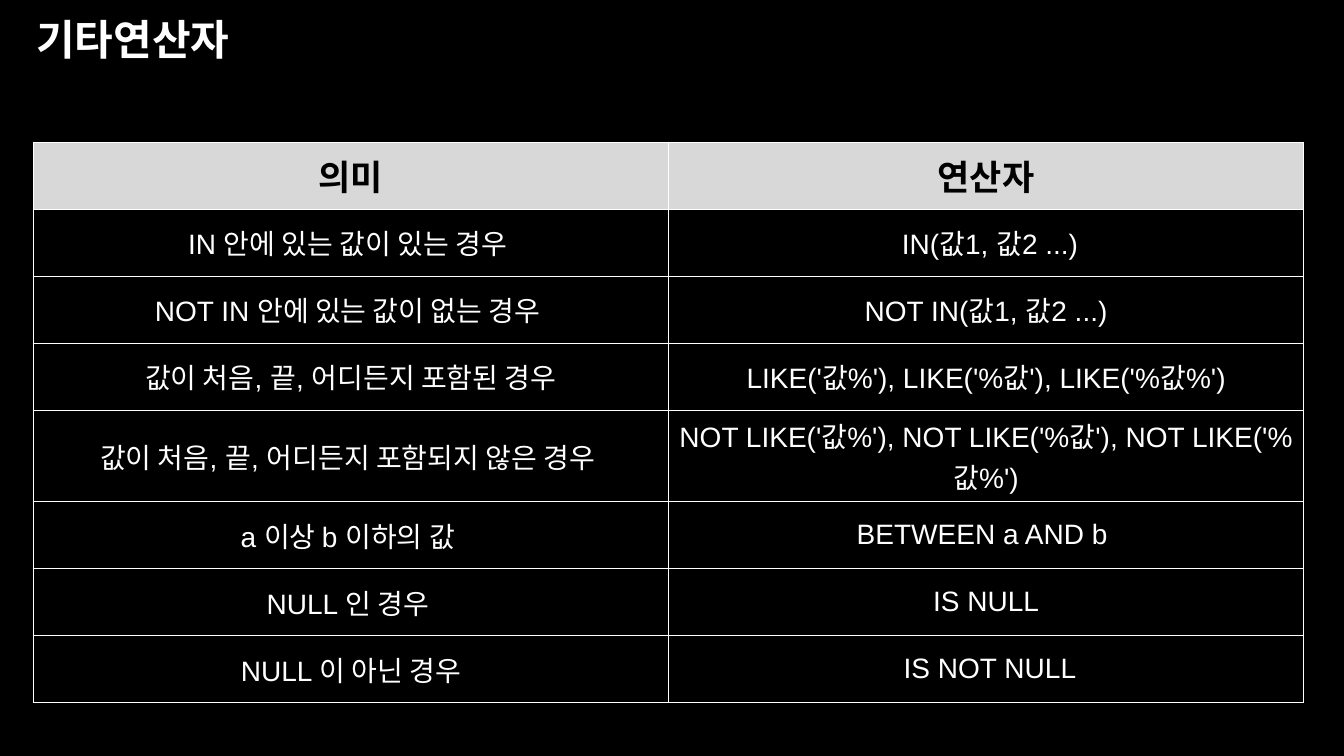
from dataclasses import dataclass

from lxml.etree import SubElement
from pptx import Presentation
from pptx.dml.color import RGBColor
from pptx.enum.text import MSO_ANCHOR, PP_ALIGN
from pptx.oxml.ns import qn
from pptx.slide import Slide
from pptx.table import _Cell as Cell
from pptx.text.text import TextFrame
from pptx.util import Inches, Pt

BLACK = RGBColor(0x00, 0x00, 0x00)
WHITE = RGBColor(0xFF, 0xFF, 0xFF)
LIGHT_GRAY = RGBColor(0xD8, 0xD8, 0xD8)

TITLE_ONLY = 5
COLUMN_WIDTH = Inches(6.3)
ROW_HEIGHT = Inches(0.665)


@dataclass(frozen=True)
class TextStyle:
    size: int
    font: str
    color: RGBColor
    bold: bool
    alignment: PP_ALIGN


@dataclass(frozen=True)
class OperatorRow:
    meaning: str
    operator: str


TITLE_STYLE = TextStyle(30, "Karla", WHITE, True, PP_ALIGN.LEFT)
HEADER_STYLE = TextStyle(25, "Arial", BLACK, True, PP_ALIGN.CENTER)
BODY_STYLE = TextStyle(20, "Arial", WHITE, False, PP_ALIGN.CENTER)

ROWS = [
    OperatorRow("의미", "연산자"),
    OperatorRow("IN 안에 있는 값이 있는 경우 ", " IN(값1, 값2 ...)"),
    OperatorRow("NOT IN 안에 있는 값이 없는 경우 ", "NOT IN(값1, 값2 ...)"),
    OperatorRow("값이 처음, 끝, 어디든지 포함된 경우",
                "LIKE('값%'), LIKE('%값'), LIKE('%값%')"),
    OperatorRow("값이 처음, 끝, 어디든지 포함되지 않은 경우 ",
                "NOT LIKE('값%'), NOT LIKE('%값'), NOT LIKE('%값%')"),
    OperatorRow("a 이상 b 이하의 값 ", "BETWEEN a AND b "),
    OperatorRow("NULL 인 경우 ", "IS NULL"),
    OperatorRow("NULL 이 아닌 경우", " IS NOT NULL"),
]


def write_text(text_frame: TextFrame, text: str, style: TextStyle) -> None:
    text_frame.text = text
    paragraph = text_frame.paragraphs[0]
    paragraph.alignment = style.alignment
    font = paragraph.runs[0].font
    font.size = Pt(style.size)
    font.name = style.font
    font.bold = style.bold
    font.color.rgb = style.color


def add_borders(cell: Cell, color: RGBColor, width: float) -> None:
    properties = cell._tc.get_or_add_tcPr()
    for index, side in enumerate(("lnL", "lnR", "lnT", "lnB")):
        line = SubElement(properties, qn(f"a:{side}"), w=str(Pt(width)))
        fill = SubElement(line, qn("a:solidFill"))
        SubElement(fill, qn("a:srgbClr"), val=str(color))
        properties.insert(index, line)  # borders come before the fill


def format_cell(cell: Cell, text: str, is_header: bool) -> None:
    write_text(cell.text_frame, text, HEADER_STYLE if is_header else BODY_STYLE)
    cell.vertical_anchor = MSO_ANCHOR.MIDDLE
    if is_header:
        cell.fill.solid()
        cell.fill.fore_color.rgb = LIGHT_GRAY
    else:
        cell.fill.background()
    add_borders(cell, WHITE, 1)


def add_title(slide: Slide, text: str) -> None:
    title = slide.shapes.title
    title.left, title.top = Inches(0.26), Inches(0)
    title.width, title.height = Inches(12), Inches(0.77)
    write_text(title.text_frame, text, TITLE_STYLE)
    title.text_frame.vertical_anchor = MSO_ANCHOR.MIDDLE


def add_operator_table(slide: Slide, rows: list[OperatorRow]) -> None:
    table = slide.shapes.add_table(
        len(rows), 2, Inches(0.33), Inches(1.41),
        COLUMN_WIDTH * 2, ROW_HEIGHT * len(rows),
    ).table
    table.horz_banding = False
    for column in table.columns:
        column.width = COLUMN_WIDTH
    for row_index, row in enumerate(rows):
        table.rows[row_index].height = ROW_HEIGHT
        for column_index, text in enumerate((row.meaning, row.operator)):
            format_cell(table.cell(row_index, column_index), text, row_index == 0)


def main() -> None:
    presentation = Presentation()
    presentation.slide_width = Inches(13.33)
    presentation.slide_height = Inches(7.5)
    slide = presentation.slides.add_slide(presentation.slide_layouts[TITLE_ONLY])

    # Background
    background = slide.background.fill
    background.solid()
    background.fore_color.rgb = BLACK

    # Title and table
    add_title(slide, "기타연산자")
    add_operator_table(slide, ROWS)

    presentation.save("out.pptx")


if __name__ == "__main__":
    main()
